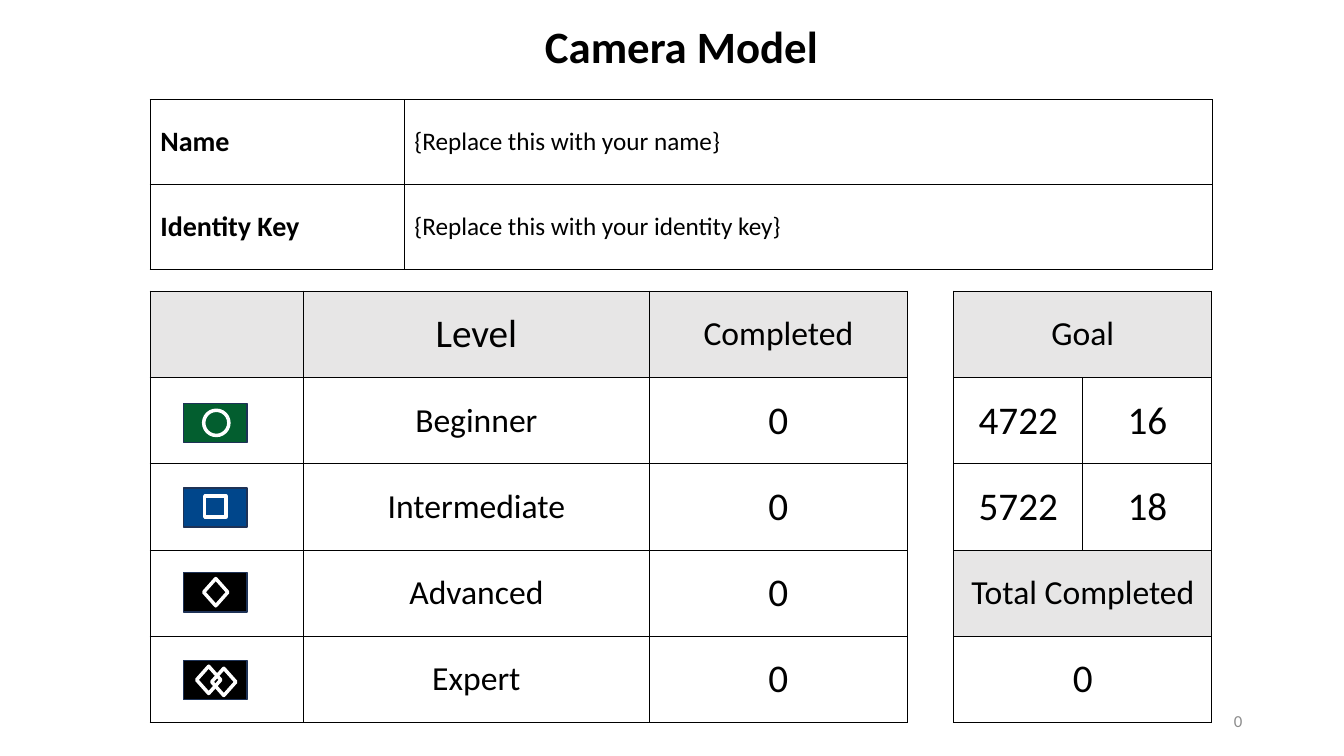
from lxml import etree
from pptx import Presentation
from pptx import util as u
from pptx.dml.color import RGBColor
from pptx.enum import shapes, text
from pptx.oxml.ns import qn

HUES = {
    "ink": "000000", "head": "E7E6E6", "mute": "8C8C8C", "white": "FFFFFF",
    "edge": "1E3256", "green": "035E2F", "blue": "00468B",
}
WIDE, HIGH = 13.33, 7.5
LEFT, FULL = 1.49, 10.54
SIDE, HALF = 9.46, 1.28
TOP, ROW = 2.89, 0.856
WORD, BIG = 24, 28
KIND = shapes.MSO_SHAPE
ALIGN = text.PP_ALIGN
MID = text.MSO_ANCHOR.MIDDLE


def hue(name):
    return RGBColor.from_string(HUES[name])


def box(*sides):
    return [u.Inches(side) for side in sides]


def style(frame, size, align, bold=False, color="ink"):
    for para in frame.paragraphs:
        para.alignment = align
        for run in para.runs:
            font = run.font
            font.name, font.size, font.bold = "Calibri", u.Pt(size), bold
            font.color.rgb = hue(color)


def border(cell):
    """Draw a thin dark line on all four sides of a cell."""
    props = cell._tc.get_or_add_tcPr()
    for side in ("lnL", "lnR", "lnT", "lnB"):
        line = etree.SubElement(props, qn(f"a:{side}"), w=str(u.Pt(1)))
        fill = etree.SubElement(line, qn("a:solidFill"))
        etree.SubElement(fill, qn("a:srgbClr"), val=HUES["ink"])


def grid(slide, left, top, cols, high, rows, head=True, align=ALIGN.CENTER):
    """Add a table whose rows hold (text, size, bold) cells."""
    frame = slide.shapes.add_table(
        len(rows), len(cols), *box(left, top, sum(cols), high * len(rows)))
    table = frame.table
    table.first_row = table.horz_banding = False
    for col, wide in zip(table.columns, cols):
        col.width = u.Inches(wide)
    for r, row in enumerate(rows):
        table.rows[r].height = u.Inches(high)
        for c, (words, size, bold) in enumerate(row):
            cell = table.cell(r, c)
            cell.text_frame.text = words
            cell.vertical_anchor = MID
            style(cell.text_frame, size, align, bold)
            border(cell)
            if head and r == 0:
                cell.fill.solid()
                cell.fill.fore_color.rgb = hue("head")
            else:
                cell.fill.background()
    return table


def word(words):
    return words, WORD, False


def big(words):
    return words, BIG, False


def shape(group, kind, place, fill, line, width):
    item = group.shapes.add_shape(kind, *box(*place))
    item.shadow.inherit = False
    if fill:
        item.fill.solid()
        item.fill.fore_color.rgb = hue(fill)
    else:
        item.fill.background()
    item.line.color.rgb = hue(line)
    item.line.width = u.Pt(width)


def badge(slide, top, color, kind, marks):
    """Add a coloured plate with outlined marks; only the first is filled."""
    group = slide.shapes.add_group_shape()
    shape(group, KIND.RECTANGLE, (1.82, top, 0.63, 0.39), color, "edge", 1)
    for n, mark in enumerate(marks):
        shape(group, kind, mark, None if n else color, "white", 2.5)


def title(slide, words):
    item = slide.shapes.title
    item.left, item.top, item.width, item.height = box(LEFT, 0.13, FULL, 0.64)
    item.text_frame.text = words
    item.text_frame.vertical_anchor = MID
    style(item.text_frame, 32, ALIGN.CENTER, True)


def number(slide, words):
    frame = slide.shapes.add_textbox(*box(9.42, 6.95, 3, 0.4)).text_frame
    frame.word_wrap = True
    frame.vertical_anchor = MID
    frame.text = words
    style(frame, 12, ALIGN.RIGHT, color="mute")


def main():
    deck = Presentation()
    deck.slide_width, deck.slide_height = box(WIDE, HIGH)
    slide = deck.slides.add_slide(deck.slide_layouts[5])
    title(slide, "Camera Model")

    fields = [("Name", "{Replace this with your name}"),
              ("Identity Key", "{Replace this with your identity key}")]
    grid(slide, LEFT, 0.99, [2.52, 8.02], 0.84,
         [[(name, 20, True), (hint, 18, False)] for name, hint in fields],
         head=False, align=ALIGN.LEFT)

    names = ["Beginner", "Intermediate", "Advanced", "Expert"]
    levels = [[word(""), big("Level"), word("Completed")]]
    levels += [[word(""), word(name), big("0")] for name in names]
    grid(slide, LEFT, TOP, [1.52, 3.43, 2.56], ROW, levels)

    goals = [[word("Goal"), word("")],
             [big("4722"), big("16")],
             [big("5722"), big("18")]]
    goal = grid(slide, SIDE, TOP, [HALF, HALF], ROW, goals)
    goal.cell(0, 0).merge(goal.cell(0, 1))
    grid(slide, SIDE, TOP + 3 * ROW, [2 * HALF], ROW,
         [[word("Total Completed")], [big("0")]])

    badge(slide, 4, "green", KIND.OVAL, [(2.02, 4.07, 0.25, 0.25)])
    badge(slide, 4.84, "blue", KIND.RECTANGLE, [(2.03, 4.92, 0.21, 0.21)])
    badge(slide, 5.68, "ink", KIND.DIAMOND, [(2.02, 5.74, 0.24, 0.27)])
    badge(slide, 6.55, "ink", KIND.DIAMOND,
          [(1.95, 6.61, 0.24, 0.27), (2.1, 6.63, 0.24, 0.27)])
    number(slide, "0")
    deck.save("out.pptx")


if __name__ == "__main__":
    main()
